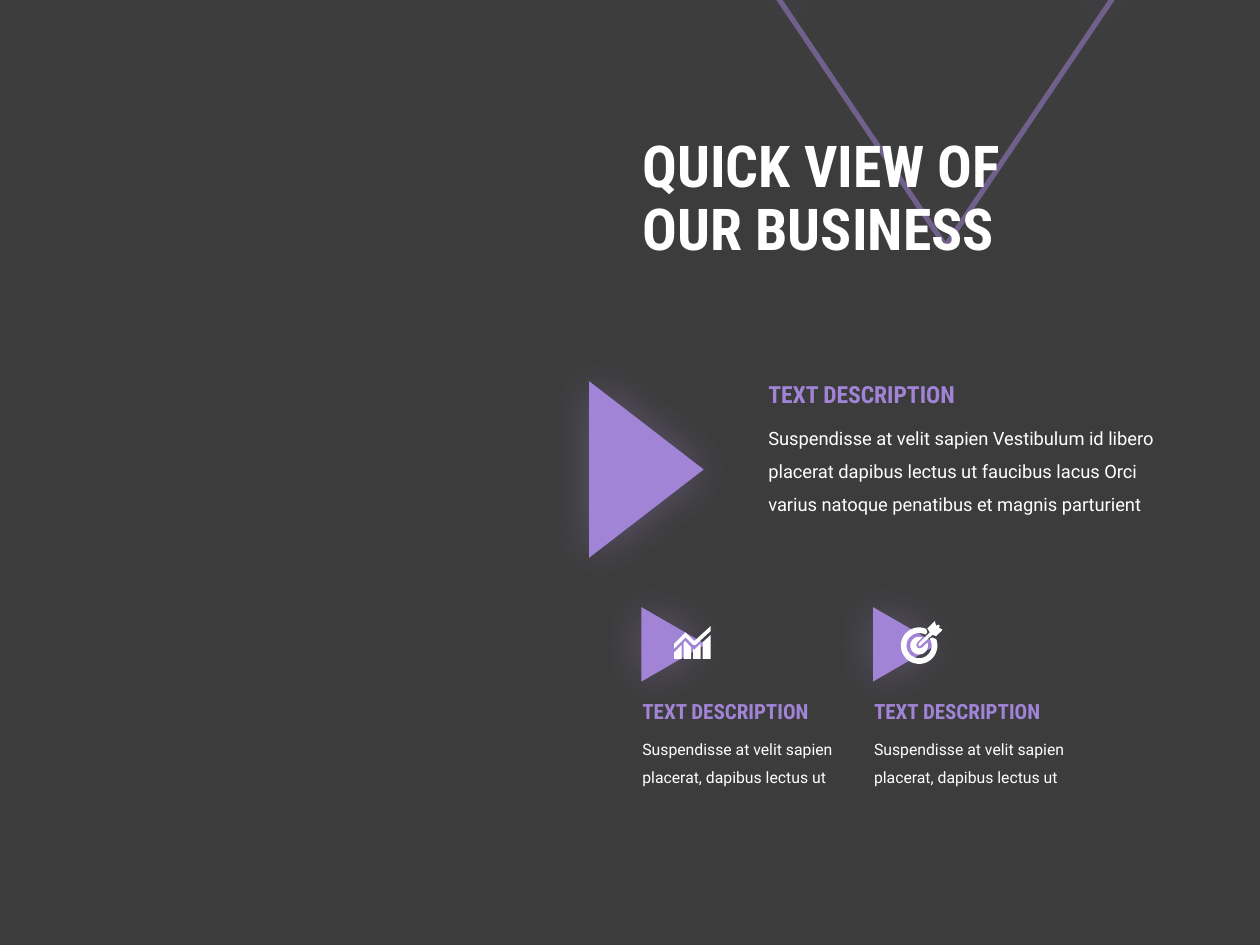
import math

import pptx
import pptx.dml.color
import pptx.enum.shapes
import pptx.enum.text
import pptx.oxml
import pptx.oxml.ns
import pptx.util
from pptx.util import Cm

DARK = pptx.dml.color.RGBColor(0x3C, 0x3C, 0x3C)
PURPLE = pptx.dml.color.RGBColor(0xA2, 0x84, 0xD7)
WHITE = pptx.dml.color.RGBColor(0xFF, 0xFF, 0xFF)
BODY_FONT, HEAD_FONT = "Roboto", "Roboto Condensed"
NS = pptx.oxml.ns.nsdecls("a")


def arc(radius, start, end, step=10):
    """Points on a circle around the target's centre, angles in degrees."""
    n = math.ceil(abs(end - start) / step)
    angles = [math.radians(start + (end - start) * i / n) for i in range(n + 1)]
    return [(14.5 + radius * math.cos(a), 19.5 + radius * math.sin(a)) for a in angles]


# Content: lengths in cm, icon outlines in hundredths of an inch
TITLE = "QUICK VIEW OF\vOUR BUSINESS"
HEADING = "TEXT DESCRIPTION"
MAIN_TEXT = ("Suspendisse at velit sapien Vestibulum id libero placerat dapibus lectus ut "
             "faucibus lacus Orci varius natoque penatibus et magnis parturient")
CARD_TEXT = "Suspendisse at velit sapien placerat, dapibus lectus ut"
CHART_ICON = [
    [(6, 26), (6, 15), (0, 21), (0, 26)],
    [(13.5, 26), (13.5, 17), (9, 12), (7.5, 13), (7.5, 26)],
    [(21, 26), (21, 14), (16, 19), (15, 18), (15, 26)],
    [(29, 26), (29, 7), (22.5, 13), (22.5, 26)],
    [(29, 0), (16, 12), (10, 6), (9, 5), (8, 6), (0, 14), (0, 18),
     (9, 9), (15, 15), (17, 15), (29, 4)],
]
TARGET_ICON = [
    [(27, 14), (25, 13), (23, 14)] + arc(10, -33, 300)
    + [(21, 9), (20, 6)] + arc(14.5, -67, -382),
    [(30, 3), (29, 3), (28, 4), (27, 0), (21, 6), (23, 9), (14, 18), (14, 20),
     (15, 20), (25, 11), (28, 12), (33, 7), (30, 5), (31, 4)],
    [(17, 21), (15, 21.8), (13, 21), (12.2, 19), (13, 17), (17, 13)] + arc(7, -68, -380),
]
CARDS = [(CHART_ICON, 13.59, 12.62), (TARGET_ICON, 18.16, 12.52)]
CARD_LEFT, CARD_STEP = 12.7, 4.67


def style(tf, size, font, color, bold=False, spacing=None):
    for p in tf.paragraphs:
        p.alignment = pptx.enum.text.PP_ALIGN.LEFT
        p.line_spacing = spacing
        for r in p.runs:
            r.font.size = pptx.util.Pt(size)
            r.font.name = font
            r.font.bold = bold
            r.font.color.rgb = color


def add_text(s, text, box, *look, **options):
    tf = s.shapes.add_textbox(*map(Cm, box)).text_frame
    tf.word_wrap = True
    tf.auto_size = pptx.enum.text.MSO_AUTO_SIZE.SHAPE_TO_FIT_TEXT
    tf.text = text
    style(tf, *look, **options)


def add_triangle(s, box, rotation, filled=True):
    sp = s.shapes.add_shape(pptx.enum.shapes.MSO_SHAPE.ISOSCELES_TRIANGLE, *map(Cm, box))
    sp.rotation = rotation
    if filled:
        sp.fill.solid()
        sp.fill.fore_color.rgb = PURPLE
        sp.line.fill.background()
    else:
        sp.fill.background()
        sp.line.color.rgb = PURPLE
        sp.line.width = pptx.util.Pt(3)
        color = sp.element.spPr.find(".//" + pptx.oxml.ns.qn("a:srgbClr"))
        color.append(pptx.oxml.parse_xml(f'<a:alpha {NS} val="50000"/>'))
    # Soft purple glow
    sp.shadow.inherit = False
    effects = sp.element.spPr.find(pptx.oxml.ns.qn("a:effectLst"))
    effects.append(pptx.oxml.parse_xml(
        f'<a:outerShdw {NS} blurRad="{pptx.util.Pt(25)}" dist="0" dir="0" algn="ctr" '
        f'rotWithShape="0"><a:srgbClr val="{PURPLE}"><a:alpha val="35000"/>'
        '</a:srgbClr></a:outerShdw>'))
    return sp


def add_icon(s, outlines, left, top):
    group = s.shapes.add_group_shape()
    for outline in outlines:
        points = [(x * 10, y * 10) for x, y in outline]
        builder = group.shapes.build_freeform(*points[0], scale=Cm(2.54) / 1000)
        builder.add_line_segments(points[1:], close=True)
        sp = builder.convert_to_shape(Cm(left), Cm(top))
        sp.fill.solid()
        sp.fill.fore_color.rgb = WHITE
        sp.line.fill.background()
        sp.shadow.inherit = False


def main():
    prs = pptx.Presentation()
    prs.slide_width, prs.slide_height = Cm(25.4), Cm(19.05)
    s = prs.slides.add_slide(prs.slide_layouts[5])
    s.background.fill.solid()
    s.background.fill.fore_color.rgb = DARK

    # Title in front of the outlined triangle
    title = s.shapes.title
    title.left, title.top, title.width, title.height = map(Cm, (12.7, 2.03, 10.72, 4.01))
    tf = title.text_frame
    tf.text = TITLE
    tf.word_wrap = True
    tf.auto_size = pptx.enum.text.MSO_AUTO_SIZE.NONE
    tf.vertical_anchor = pptx.enum.text.MSO_ANCHOR.MIDDLE
    style(tf, 33, HEAD_FONT, WHITE, bold=True, spacing=0.9)
    outline = add_triangle(s, (15.39, -0.48, 7.34, 5.44), 180, filled=False)
    title.element.addprevious(outline.element)

    # Main description
    add_triangle(s, (11.25, 8.31, 3.56, 2.31), 90)
    add_text(s, MAIN_TEXT, (15.24, 8.26, 8.66, 2.21), 10.5, BODY_FONT, WHITE, spacing=1.5)
    add_text(s, HEADING, (15.24, 7.54, 4.67, 0.84), 13.5, HEAD_FONT, PURPLE, bold=True)

    # Two cards with icons
    for i, (icon, icon_left, icon_top) in enumerate(CARDS):
        left = CARD_LEFT + i * CARD_STEP
        add_triangle(s, (left + 0.13, 12.34, 1.5, 1.3), 90)
        add_text(s, CARD_TEXT, (left, 14.59, 4.42, 1.35), 9, BODY_FONT, WHITE, spacing=1.5)
        add_text(s, HEADING, (left, 13.95, 4.22, 0.76), 12, HEAD_FONT, PURPLE, bold=True)
        add_icon(s, icon, icon_left, icon_top)

    prs.save("out.pptx")


if __name__ == "__main__":
    main()
